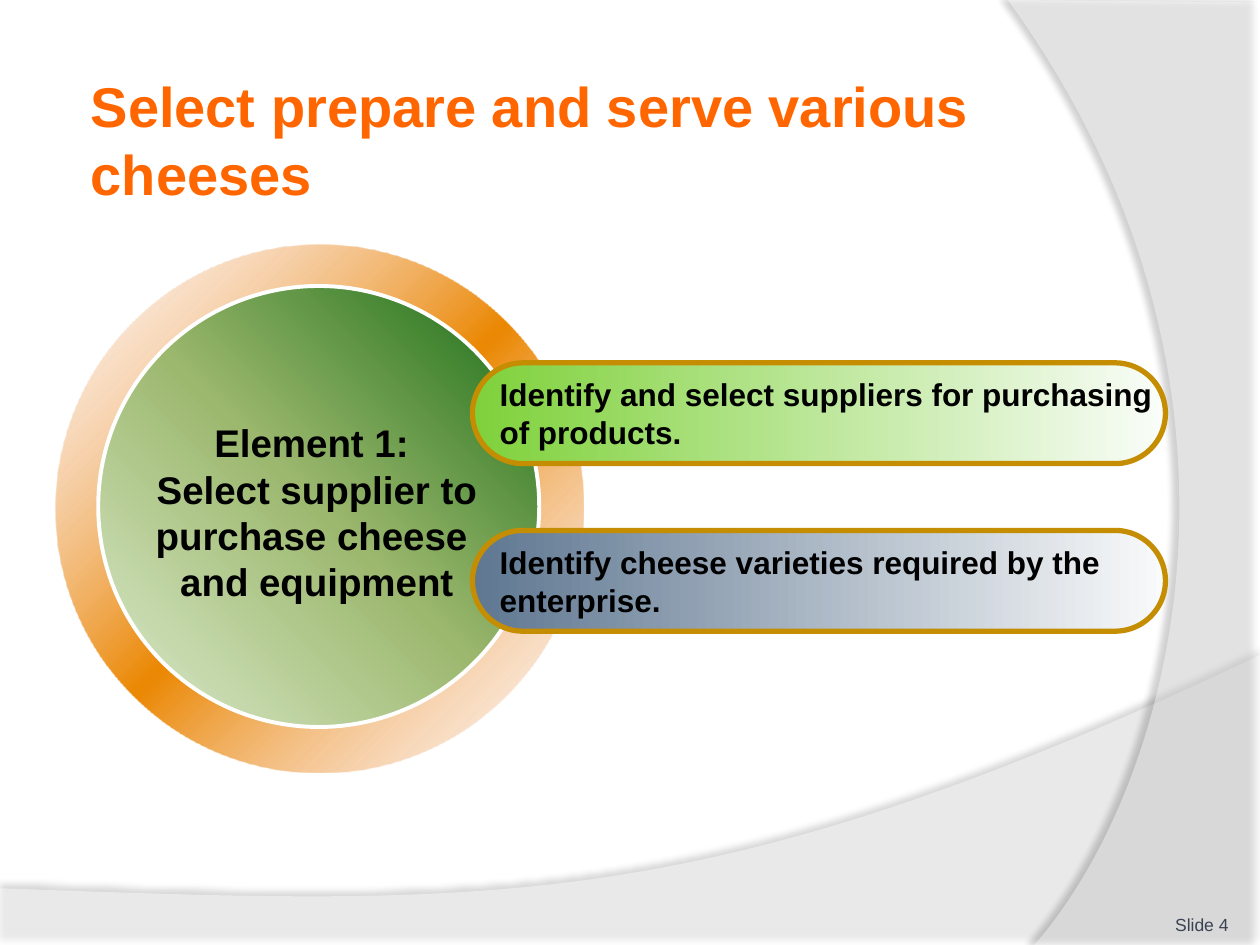
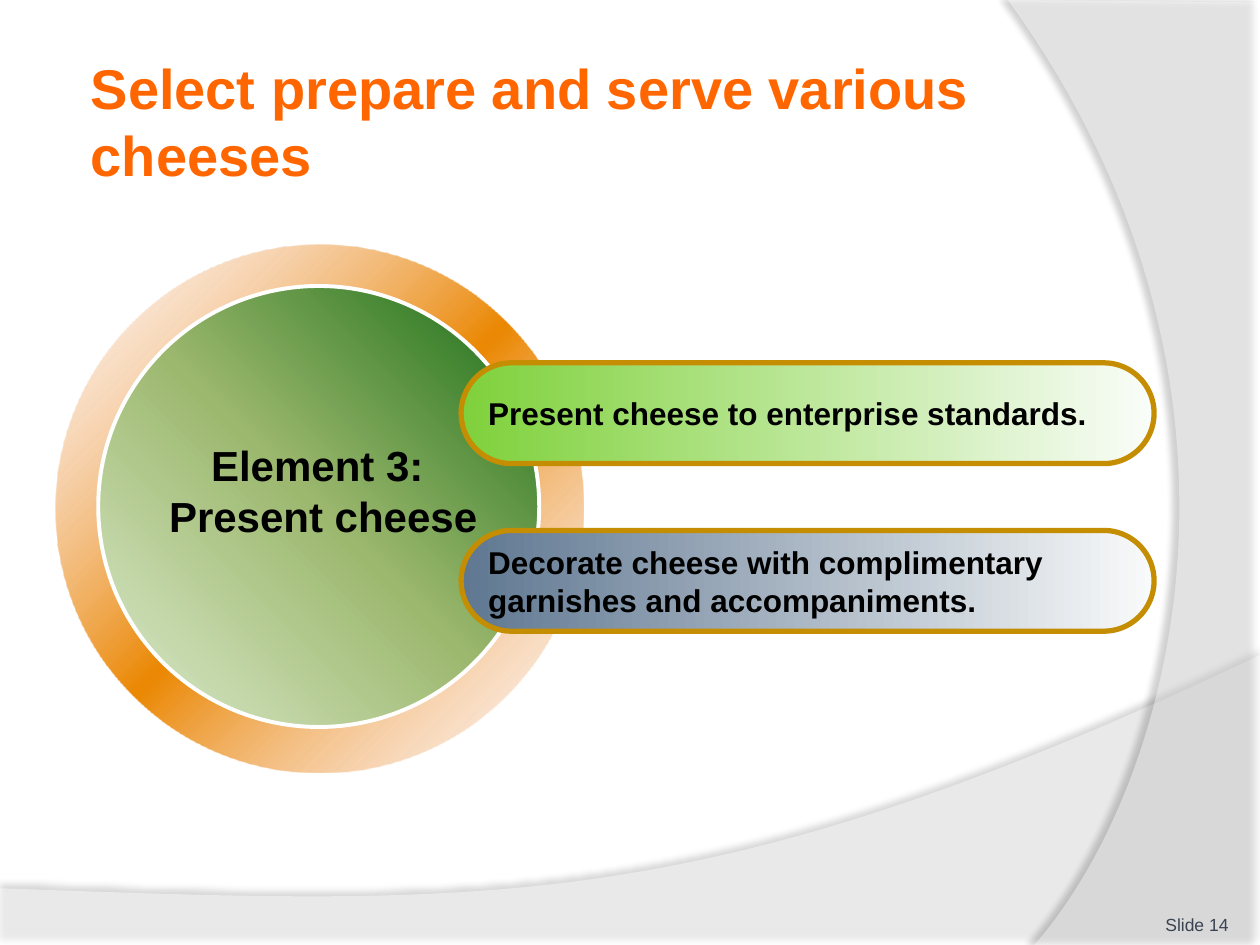
from dataclasses import dataclass
from typing import NamedTuple

from lxml.etree import SubElement
from pptx import Presentation
from pptx.dml.color import RGBColor
from pptx.enum.shapes import MSO_SHAPE
from pptx.enum.text import MSO_ANCHOR, MSO_AUTO_SIZE, PP_ALIGN
from pptx.oxml.ns import qn
from pptx.util import Inches, Pt

COLS, ROWS = 10, 7.5
WIDTH, HEIGHT = Inches(10), Inches(7.5)
COL, ROW = WIDTH / COLS, HEIGHT / ROWS
FONT = "Arial"
TITLE = "Select prepare and serve various cheeses"
COLORS = {
    "title": "FF6600", "text": "000000", "number": "3A4352", "white": "FFFFFF",
    "ring_edge": "F3C2AA", "ring": "EB8803", "disc_pale": "DDEBCF",
    "disc_mid": "9CB86E", "disc_dark": "156B13", "pill_line": "C58D01",
    "green": "7FD13B", "green_pale": "FAFDF9", "slate": "5F7791", "slate_pale": "F9FAFA",
}
PILL_FADES = (("green", "green_pale"), ("slate", "slate_pale"))
PILL_TOP, PILL_STEP = 2.88, 1.33


class Box(NamedTuple):
    """Left, top, width and height in grid columns and rows."""
    x: float
    y: float
    w: float
    h: float

    def emu(self) -> tuple:
        """Return the box as slide lengths."""
        return (round(self.x * COL), round(self.y * ROW),
                round(self.w * COL), round(self.h * ROW))


class Stop(NamedTuple):
    """One gradient stop, with position and opacity in percent."""
    pos: int
    color: str
    alpha: int = 100


@dataclass
class Band:
    """A translucent background band: corners, one curve, and its shadow."""
    corners: list
    curve: tuple
    alpha: int
    shadow_alpha: int
    shadow_dist: float
    shadow_angle: int


@dataclass
class ElementSlide:
    """One course element with its outcomes."""
    number: int
    title: Box
    label: str
    label_box: Box
    label_size: int
    label_wrap: bool
    pill_left: float
    outcomes: tuple


BANDS = [
    Band([(0, 7.05), (0, 7.5), (10, 7.5), (10, 5.2)],
         ((10, 5.2), (5.59, 7.29), (3.91, 7.19), (0, 7.05)), 45, 35, 3.5, 270),
    Band([(8, 0), (10, 0.02), (10, 7.5), (8.21, 7.5)],
         ((8.21, 7.5), (9.35, 6.19), (10.18, 3), (8, 0)), 40, 45, 4, 180),
]
SLIDES = [
    ElementSlide(4, Box(0.67, 0.6, 8.17, 1.01),
                 "Element 1: \n Select supplier to \npurchase cheese \nand equipment",
                 Box(1.06, 3.28, 2.91, 1.58), 22, True, 3.75,
                 ("Identify and select suppliers for purchasing \nof products.",
                  "Identify cheese varieties required by the \nenterprise.")),
    ElementSlide(14, Box(0.67, 0.52, 8.17, 0.87), "Element 3: \nPresent cheese",
                 Box(1.23, 3.44, 2.67, 0.91), 24, False, 3.66,
                 ("Present cheese to enterprise standards.",
                  "Decorate cheese with complimentary \ngarnishes and accompaniments.")),
]


def rgb(name: str) -> RGBColor:
    """Look up a named colour."""
    return RGBColor.from_string(COLORS[name])


def add_color(parent, name: str, alpha: int) -> None:
    """Append a colour with opacity to an XML element."""
    clr = SubElement(parent, qn("a:srgbClr"), val=COLORS[name])
    if alpha < 100:
        SubElement(clr, qn("a:alpha"), val=str(alpha * 1000))


def set_gradient(sp, stops: list, angle: int) -> None:
    """Fill a shape with a linear gradient."""
    sp.fill.gradient()
    grad = sp.element.spPr.find(qn("a:gradFill"))
    for child in list(grad):
        grad.remove(child)
    gs_list = SubElement(grad, qn("a:gsLst"))
    for stop in stops:
        gs = SubElement(gs_list, qn("a:gs"), pos=str(stop.pos * 1000))
        add_color(gs, stop.color, stop.alpha)
    SubElement(grad, qn("a:lin"), ang=str(angle * 60000), scaled="0")


def set_text(tf, text: str, *, size: int, color: str = "text", bold: bool = True,
             align=PP_ALIGN.LEFT, anchor=MSO_ANCHOR.MIDDLE, wrap: bool = True,
             inset: tuple = (0.1, 0.05)) -> None:
    """Write one formatted paragraph into a text frame."""
    tf.auto_size = MSO_AUTO_SIZE.NONE
    tf.word_wrap = wrap
    tf.vertical_anchor = anchor
    tf.margin_left = tf.margin_right = Inches(inset[0])
    tf.margin_top = tf.margin_bottom = Inches(inset[1])
    p = tf.paragraphs[0]
    p.text = text
    p.alignment = align
    for r in p.runs:
        r.font.name, r.font.size, r.font.bold = FONT, Pt(size), bold
        r.font.color.rgb = rgb(color)


def add_figure(s, kind, box: Box, stops: list, angle: int, adj: float | None = None,
               line: str | None = None, line_width: float = 0):
    """Add a gradient preset shape."""
    sp = s.shapes.add_shape(kind, *box.emu())
    sp.shadow.inherit = False
    if adj is not None:
        sp.adjustments[0] = adj
    set_gradient(sp, stops, angle)
    if line:
        sp.line.color.rgb = rgb(line)
        sp.line.width = Pt(line_width)
    else:
        sp.line.fill.background()
    return sp


def curve_points(curve: tuple, steps: int = 60) -> list:
    """Sample a cubic Bezier curve after its first point."""
    points = []
    for i in range(1, steps + 1):
        t = i / steps
        weights = ((1 - t) ** 3, 3 * t * (1 - t) ** 2, 3 * t * t * (1 - t), t ** 3)
        points.append(tuple(sum(w * pt[axis] for w, pt in zip(weights, curve))
                            for axis in (0, 1)))
    return points


def add_band(s, band: Band):
    """Draw a background band with its soft shadow."""
    points = [(round(x * COL), round(y * ROW))
              for x, y in band.corners + curve_points(band.curve)]
    builder = s.shapes.build_freeform(*points[0])
    builder.add_line_segments(points[1:], close=True)
    sp = builder.convert_to_shape()
    sp.line.fill.background()
    sp.fill.solid()
    fill = sp.element.spPr.find(qn("a:solidFill"))
    add_color(fill, "white", band.alpha)
    sp.shadow.inherit = False
    effects = sp.element.spPr.find(qn("a:effectLst"))
    shadow = SubElement(effects, qn("a:outerShdw"), blurRad=str(Pt(4)),
                        dist=str(Pt(band.shadow_dist)), dir=str(band.shadow_angle * 60000),
                        algn="ctr", rotWithShape="0")
    add_color(shadow, "text", band.shadow_alpha)
    return sp


def add_bands_to_layout(layout, s) -> None:
    """Draw the shared bands and place them at the back of the layout."""
    for i, band in enumerate(BANDS):
        layout.shapes.element.insert(2 + i, add_band(s, band).element)


def draw_element(s, item: ElementSlide) -> None:
    """Draw the title, number, disc, outcomes and label of a slide."""
    title = s.shapes.title
    title.left, title.top, title.width, title.height = item.title.emu()
    set_text(title.text_frame, TITLE, size=32, color="title", inset=(0.05, 0.05))
    number = s.shapes.add_textbox(*Box(8.92, 7.02, 0.83, 0.4).emu())
    set_text(number.text_frame, f"Slide {item.number}", size=10, color="number",
             bold=False, align=PP_ALIGN.RIGHT, anchor=MSO_ANCHOR.BOTTOM, inset=(0, 0))

    add_figure(s, MSO_SHAPE.DONUT, Box(0.44, 1.94, 4.19, 4.19),
               [Stop(0, "ring_edge", 12), Stop(50, "ring"), Stop(100, "ring_edge", 12)],
               45, adj=0.09)
    add_figure(s, MSO_SHAPE.OVAL, Box(0.78, 2.27, 3.5, 3.5),
               [Stop(0, "disc_pale"), Stop(50, "disc_mid"), Stop(100, "disc_dark")],
               315, line="white", line_width=2.25)
    for i, (text, (start, end)) in enumerate(zip(item.outcomes, PILL_FADES)):
        box = Box(item.pill_left, PILL_TOP + i * PILL_STEP, 5.5, 0.8)
        pill = add_figure(s, MSO_SHAPE.ROUNDED_RECTANGLE, box,
                          [Stop(0, start), Stop(100, end)], 0, adj=0.5,
                          line="pill_line", line_width=3)
        set_text(pill.text_frame, text, size=18, wrap=False)

    label = s.shapes.add_textbox(*item.label_box.emu())
    set_text(label.text_frame, item.label, size=item.label_size, align=PP_ALIGN.CENTER,
             anchor=MSO_ANCHOR.TOP, wrap=item.label_wrap)


def main() -> None:
    """Build and save the presentation."""
    prs = Presentation()
    prs.slide_width, prs.slide_height = WIDTH, HEIGHT
    layout = prs.slide_layouts[5]
    slides = [prs.slides.add_slide(layout) for _ in SLIDES]
    add_bands_to_layout(layout, slides[0])
    for s, item in zip(slides, SLIDES):
        draw_element(s, item)
    prs.save("out.pptx")


if __name__ == "__main__":
    main()
